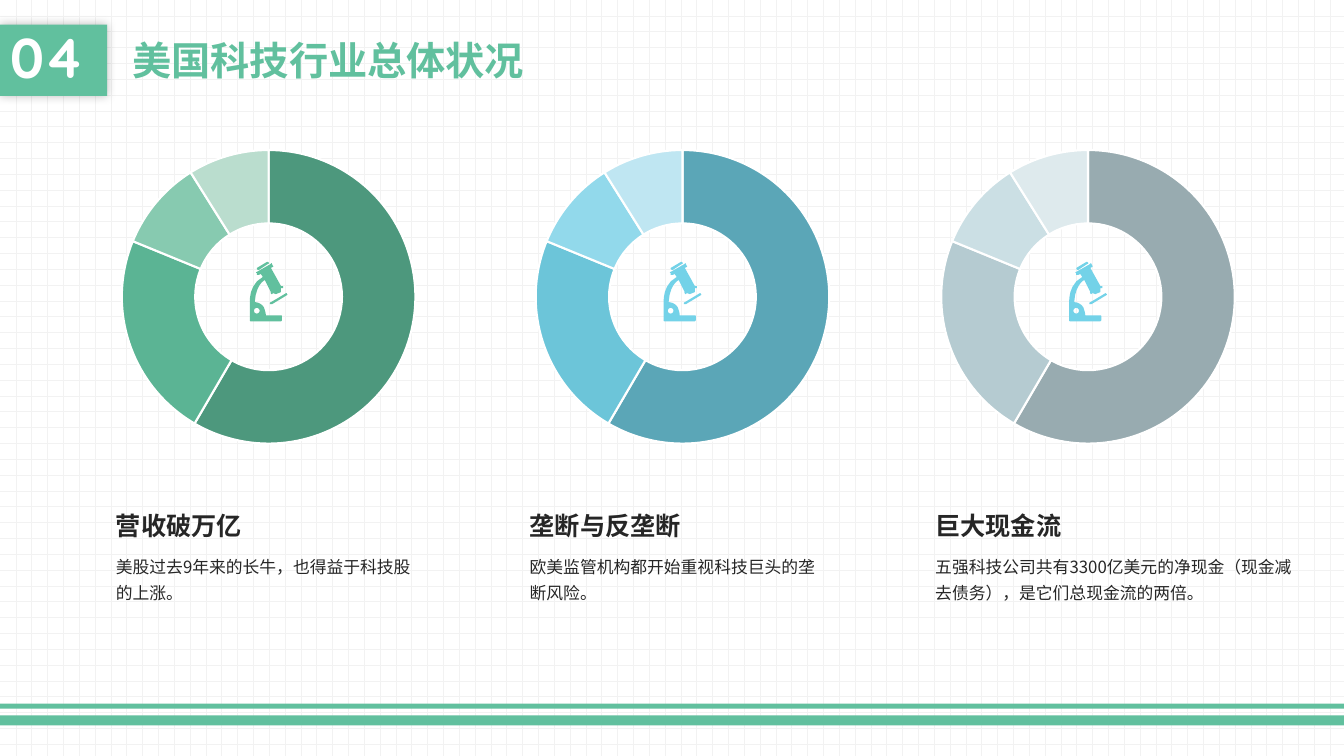
import pptx
import pptx.chart.data
import pptx.dml.color
import pptx.enum.chart
import pptx.enum.dml
import pptx.enum.shapes
import pptx.enum.text
import pptx.oxml
import pptx.oxml.ns
import pptx.util
from pptx.util import Cm

COLORS = {"green": "61C09E", "cyan": "73D2E8", "ink": "262626", "white": "FFFFFF",
          "grid": "F2F2F2", "black": "000000"}
DISPLAY_FONT = "Quicksand"
BODY_FONT = "Noto Sans CJK SC"

# left edge (cm), heading, body, body width (cm), icon colour, ring colours
TOPICS = [
    (2.27, "营收破万亿", "美股过去9年来的长牛，也得益于科技股的上涨。", 7.95,
     "green", ["4D987D", "5BB494", "87CAB0", "BADDCE"]),
    (12.7, "垄断与反垄断", "欧美监管机构都开始重视科技巨头的垄断风险。", 7.95,
     "cyan", ["5BA6B7", "6CC5D9", "92D9EB", "BFE6F2"]),
    (22.92, "巨大现金流", "五强科技公司共有3300亿美元的净现金（现金减去债务），是它们总现金流的两倍。", 9.6,
     "cyan", ["98ABB0", "B5CBD1", "CBDFE4", "DEEAED"]),
]
SHARES = [59, 23, 10, 9]

# Outlines in hundredths of an inch: pairs are corners, sextets are Bézier curves.
EYEPIECE = [[(8, 7), (9, 8, 9, 8, 10, 8), (19, 2), (20, 2, 20, 1, 20, 1), (19, 0), (18, 0),
             (8, 6)]]
STAND = [
    [(1, 40), (1, 58), (1, 58, 1, 59, 2, 59), (32, 59), (32, 59, 33, 58, 33, 58), (33, 54),
     (33, 53, 32, 53, 32, 53), (17, 53), (17, 51, 16, 48, 15, 45), (12, 40, 6, 40, 6, 40),
     (7, 24, 14, 19, 16, 18), (22, 30), (22, 30, 21, 31, 22, 31), (22, 32, 23, 32, 23, 32),
     (24, 31), (27, 32), (32, 30), (32, 26), (34, 26), (34, 25, 34, 25, 34, 24), (32, 24),
     (22, 6), (24, 5), (24, 5, 25, 4, 24, 4), (23, 2), (23, 1, 22, 1, 22, 2), (8, 10),
     (7, 10, 7, 11, 8, 11), (8, 13), (9, 13, 9, 13, 10, 13), (12, 12), (14, 15),
     (0, 22, 1, 40, 1, 40)],
    [(8, 45.7), (9.6, 45.7, 10.8, 47, 10.8, 48.5), (10.8, 50, 9.6, 51.3, 8, 51.3),
     (6.4, 51.3, 5.2, 50, 5.2, 48.5), (5.2, 47, 6.4, 45.7, 8, 45.7)],
]
STAGE = [[(21, 42), (22, 42, 22, 42, 23, 42), (38, 33), (38, 33, 39, 32, 38, 32),
          (38, 31, 37, 31, 37, 31), (22, 40), (21, 40, 21, 41, 21, 42)]]


def rgb(value):
    return pptx.dml.color.RGBColor.from_string(value)


def write(frame, text, size, color, font=DISPLAY_FONT, bold=False, spacing=None,
          wrap=True, anchor=pptx.enum.text.MSO_ANCHOR.TOP):
    frame.word_wrap = wrap
    frame.vertical_anchor = anchor
    paragraph = frame.paragraphs[0]
    paragraph.alignment = pptx.enum.text.PP_ALIGN.LEFT
    paragraph.line_spacing = spacing
    run = paragraph.add_run()
    run.text = text
    run.font.size = pptx.util.Pt(size)
    run.font.bold = bold
    run.font.name = font
    run.font.color.rgb = rgb(COLORS[color])


def add_block(slide, left, top, width, height):
    block = slide.shapes.add_shape(pptx.enum.shapes.MSO_SHAPE.RECTANGLE,
                                   left, top, width, height)
    block.shadow.inherit = False
    block.fill.solid()
    block.fill.fore_color.rgb = rgb(COLORS["green"])
    block.line.fill.background()
    return block


def add_glow(shape):
    """Give the shape a soft shadow on all sides."""
    effects = shape.element.spPr.find(pptx.oxml.ns.qn("a:effectLst"))
    effects.append(pptx.oxml.parse_xml(
        f'<a:outerShdw {pptx.oxml.ns.nsdecls("a")} blurRad="{pptx.util.Pt(7)}" dist="0" '
        'algn="ctr" rotWithShape="0"><a:srgbClr val="000000"><a:alpha val="25000"/>'
        '</a:srgbClr></a:outerShdw>'))


def add_header(slide, left, top, height):
    middle = pptx.enum.text.MSO_ANCHOR.MIDDLE
    number = add_block(slide, left, top, Cm(2.7), height)
    add_glow(number)
    write(number.text_frame, "04", 40, "white", bold=True, spacing=0.9, anchor=middle)
    title = slide.shapes.add_textbox(left + Cm(3.09), top, Cm(17.88), height)
    write(title.text_frame, "美国科技行业总体状况", 28, "green", bold=True, anchor=middle)


def add_footer(slide, top, width):
    add_block(slide, 0, top + Cm(0.3), width, Cm(0.25))
    add_block(slide, 0, top, width, Cm(0.13))


def add_ring(slide, left, top, width, height, ring_colors):
    data = pptx.chart.data.CategoryChartData()
    data.categories = ["1", "2", "3", "4"]
    data.add_series("Series 1", SHARES)
    chart = slide.shapes.add_chart(pptx.enum.chart.XL_CHART_TYPE.DOUGHNUT,
                                   left, top, width, height, data).chart
    chart.has_legend = False
    chart.has_title = False
    chart.font.name = DISPLAY_FONT
    chart.font.size = pptx.util.Pt(10)
    chart.font.color.rgb = rgb(COLORS["black"])
    plot = chart.plots[0]
    plot.vary_by_categories = True
    plot._element.find(pptx.oxml.ns.qn("c:holeSize")).set("val", "75")
    for index, color in enumerate(ring_colors):
        slice_format = plot.series[0].points[index].format
        slice_format.fill.solid()
        slice_format.fill.fore_color.rgb = rgb(color)
        slice_format.line.color.rgb = rgb(COLORS["white"])
        slice_format.line.width = pptx.util.Pt(1.5)


def flatten(outline, steps=6):
    """Turn corners and Bézier curves into a list of points."""
    points = []
    for part in outline:
        if len(part) == 2:
            points.append(part)
            continue
        controls = [points[-1], part[:2], part[2:4], part[4:]]
        for step in range(1, steps + 1):
            t = step / steps
            weights = [(1 - t) ** 3, 3 * t * (1 - t) ** 2, 3 * t * t * (1 - t), t ** 3]
            points.append(tuple(sum(w * c[axis] for w, c in zip(weights, controls))
                                for axis in (0, 1)))
    return points


def add_microscope(slide, left, top, color):
    microscope = slide.shapes.add_group_shape()
    for outlines in (EYEPIECE, STAND, STAGE):
        # Tenfold units keep the small curves smooth after rounding.
        contours = [[(10 * x, 10 * y) for x, y in flatten(outline)] for outline in outlines]
        builder = microscope.shapes.build_freeform(*contours[0][0], scale=Cm(2.54) / 1000)
        builder.add_line_segments(contours[0][1:])
        for contour in contours[1:]:
            builder.move_to(*contour[0])
            builder.add_line_segments(contour[1:])
        piece = builder.convert_to_shape(left, top)
        piece.shadow.inherit = False
        piece.fill.solid()
        piece.fill.fore_color.rgb = rgb(COLORS[color])
        piece.line.fill.background()


def add_topic(slide, left, top, heading, body, body_width, icon_color, ring_colors):
    add_ring(slide, left, top, Cm(9), Cm(8.1), ring_colors)
    text_left = left + Cm(0.4)
    body_box = slide.shapes.add_textbox(text_left, top + Cm(10.31), body_width, Cm(1.6))
    write(body_box.text_frame, body, 12, "ink", font=BODY_FONT, spacing=1.3)
    heading_box = slide.shapes.add_textbox(text_left, top + Cm(9.07), Cm(5), Cm(1.17))
    write(heading_box.text_frame, heading, 18, "ink", bold=True, spacing=1.3, wrap=False)
    add_microscope(slide, left + Cm(4), top + Cm(3.17), icon_color)


def main():
    deck = pptx.Presentation()
    deck.slide_width, deck.slide_height = Cm(33.87), Cm(19.05)
    slide = deck.slides.add_slide(deck.slide_layouts[6])
    backdrop = slide.background.fill
    backdrop.patterned()
    backdrop.pattern = pptx.enum.dml.MSO_PATTERN.DOTTED_GRID
    backdrop.fore_color.rgb = rgb(COLORS["grid"])
    backdrop.back_color.rgb = rgb(COLORS["white"])
    add_footer(slide, Cm(17.73), deck.slide_width)
    add_header(slide, 0, Cm(0.62), Cm(1.8))
    for left, heading, body, body_width, icon_color, ring_colors in TOPICS:
        add_topic(slide, Cm(left), Cm(3.43), heading, body, Cm(body_width),
                  icon_color, ring_colors)
    deck.save("out.pptx")


if __name__ == "__main__":
    main()
